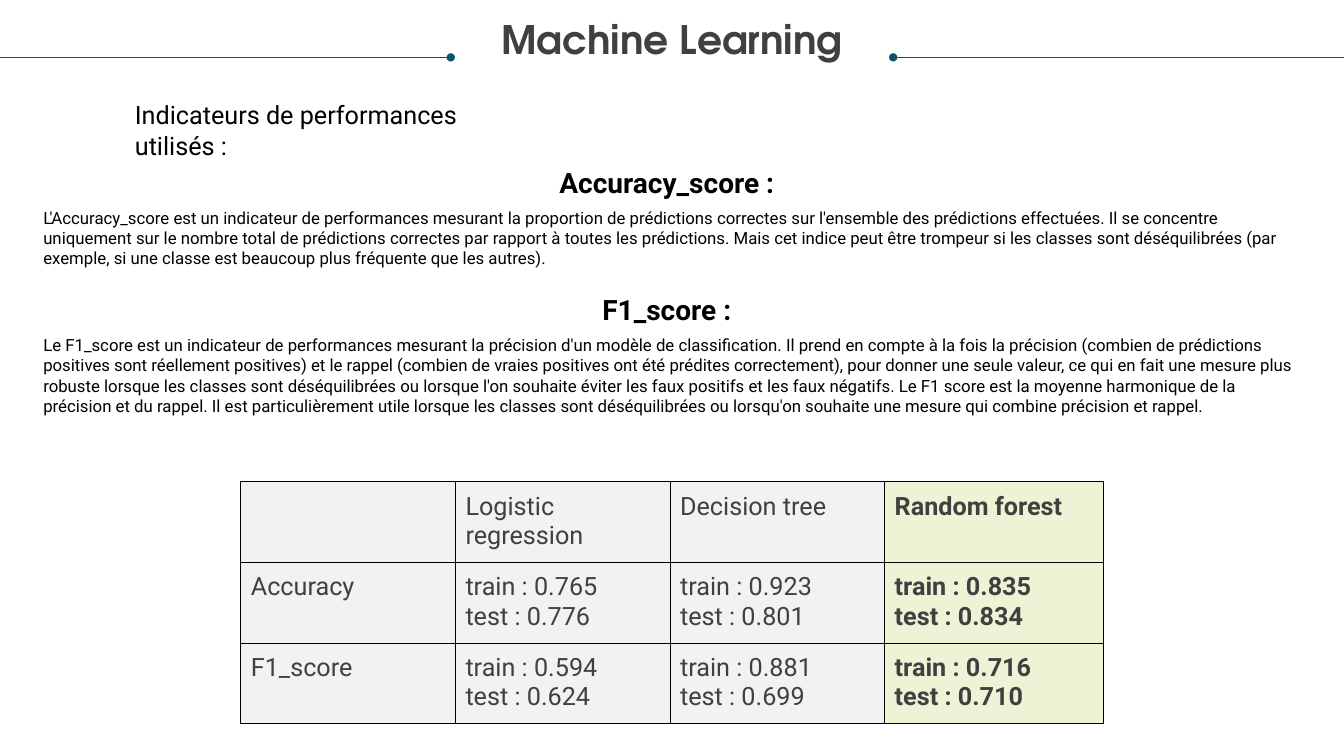
from pptx import Presentation
from pptx.dml.color import RGBColor
from pptx.enum.shapes import MSO_CONNECTOR as Connector
from pptx.enum.text import PP_ALIGN as Align
from pptx.oxml.ns import qn
from pptx.util import Pt
from lxml.etree import SubElement

BLACK = RGBColor(0x00, 0x00, 0x00)
GREY = RGBColor(0x40, 0x40, 0x40)
TEAL = RGBColor(0x08, 0x57, 0x64)
PALE_GREY = RGBColor(0xF2, 0xF2, 0xF2)
PALE_GREEN = RGBColor(0xEE, 0xF3, 0xD6)
BODY_FONT = "Roboto"
TITLE_FONT = "TeX Gyre Adventor"

ACCURACY = (
    "L'Accuracy_score est un indicateur de performances mesurant la proportion de "
    "prédictions correctes sur l'ensemble des prédictions effectuées. Il se concentre "
    "uniquement sur le nombre total de prédictions correctes par rapport à toutes les "
    "prédictions. Mais cet indice peut être trompeur si les classes sont déséquilibrées "
    "(par exemple, si une classe est beaucoup plus fréquente que les autres)."
)
F1 = (
    "Le F1_score est un indicateur de performances mesurant la précision d'un modèle de "
    "classification. Il prend en compte à la fois la précision (combien de prédictions "
    "positives sont réellement positives) et le rappel (combien de vraies positives ont "
    "été prédites correctement), pour donner une seule valeur, ce qui en fait une mesure "
    "plus robuste lorsque les classes sont déséquilibrées ou lorsque l'on souhaite éviter "
    "les faux positifs et les faux négatifs. Le F1 score est la moyenne harmonique de la "
    "précision et du rappel. Il est particulièrement utile lorsque les classes sont "
    "déséquilibrées ou lorsqu'on souhaite une mesure qui combine précision et rappel."
)
SCORES = [
    ["", "Logistic regression", "Decision tree", "Random forest"],
    ["Accuracy", "train : 0.765\ntest : 0.776", "train : 0.923\ntest : 0.801",
     "train : 0.835\ntest : 0.834"],
    ["F1_score", "train : 0.594\ntest : 0.624", "train : 0.881\ntest : 0.699",
     "train : 0.716\ntest : 0.710"],
]


def format_runs(paragraph, size, color, bold=False, font=BODY_FONT):
    for run in paragraph.runs:
        run.font.size = Pt(size)
        run.font.color.rgb = color
        run.font.bold = bold
        run.font.name = font


def add_text(slide, left, top, width, height, text):
    frame = slide.shapes.add_textbox(Pt(left), Pt(top), Pt(width), Pt(height)).text_frame
    frame.word_wrap = True
    frame.text = text
    return frame


def add_title(slide, text):
    frame = add_text(slide, 18, 15, 924, 52, text)
    frame.margin_left = frame.margin_right = frame.margin_top = frame.margin_bottom = 0
    title = frame.paragraphs[0]
    title.alignment = Align.CENTER
    title.line_spacing = 0.9
    format_runs(title, 28, GREY, bold=True, font=TITLE_FONT)


def add_rule(slide, outer_x, inner_x):
    """Horizontal line with a dot at its inner end."""
    y = Pt(41)
    rule = slide.shapes.add_connector(Connector.STRAIGHT, Pt(outer_x), y, Pt(inner_x), y)
    rule.line.color.rgb = TEAL
    rule.line.width = Pt(0.5)
    SubElement(rule.line._get_or_add_ln(), qn("a:tailEnd"), type="oval")
    SubElement(rule._element.spPr, qn("a:effectLst"))


def add_definitions(slide, definitions):
    names = [name for name, _ in definitions]
    lines = "\n".join(line for definition in definitions for line in definition)
    frame = add_text(slide, 23.8, 114.5, 910, 186, lines)
    for index, paragraph in enumerate(frame.paragraphs):
        if paragraph.text in names:
            paragraph.alignment = Align.CENTER
            paragraph.space_before = Pt(18 if index else 0)
            paragraph.space_after = Pt(6)
            format_runs(paragraph, 20, BLACK, bold=True)
        else:
            format_runs(paragraph, 12, BLACK)


def add_borders(cell):
    properties = cell._tc.get_or_add_tcPr()
    for side in ("lnL", "lnR", "lnT", "lnB"):
        border = SubElement(properties, qn(f"a:{side}"), w=str(Pt(0.75)))
        fill = SubElement(border, qn("a:solidFill"))
        SubElement(fill, qn("a:srgbClr"), val=str(BLACK))


def add_score_table(slide, rows):
    widths = [153.3, 153.3, 153.3, 156.5]
    row_height = 57.6
    table = slide.shapes.add_table(
        len(rows), len(widths), Pt(172), Pt(344), Pt(sum(widths)),
        Pt(row_height * len(rows))).table
    table.first_row = table.horz_banding = False
    for column, width in zip(table.columns, widths):
        column.width = Pt(width)
    for r, row in enumerate(rows):
        table.rows[r].height = Pt(row_height)
        for c, text in enumerate(row):
            best = c == len(widths) - 1
            cell = table.cell(r, c)
            cell.margin_left = cell.margin_right = Pt(7.2)
            cell.margin_top = cell.margin_bottom = Pt(7.2)
            add_borders(cell)
            cell.fill.solid()
            cell.fill.fore_color.rgb = PALE_GREEN if best else PALE_GREY
            cell.text_frame.text = text
            for paragraph in cell.text_frame.paragraphs:
                format_runs(paragraph, 18, GREY, bold=best)


def main():
    deck = Presentation()
    deck.slide_width, deck.slide_height = Pt(960), Pt(540)
    slide = deck.slides.add_slide(deck.slide_layouts[6])

    # Title between two dotted rules
    add_rule(slide, 960, 638)
    add_rule(slide, 0, 322)
    add_title(slide, "Machine Learning")

    # Indicators and their definitions
    intro = add_text(slide, 89.3, 67.7, 302, 50, "Indicateurs de performances utilisés :")
    format_runs(intro.paragraphs[0], 18, BLACK)
    add_definitions(slide, [("Accuracy_score : ", ACCURACY), ("F1_score : ", F1)])

    # Scores by model
    add_score_table(slide, SCORES)

    deck.save("out.pptx")


if __name__ == "__main__":
    main()
